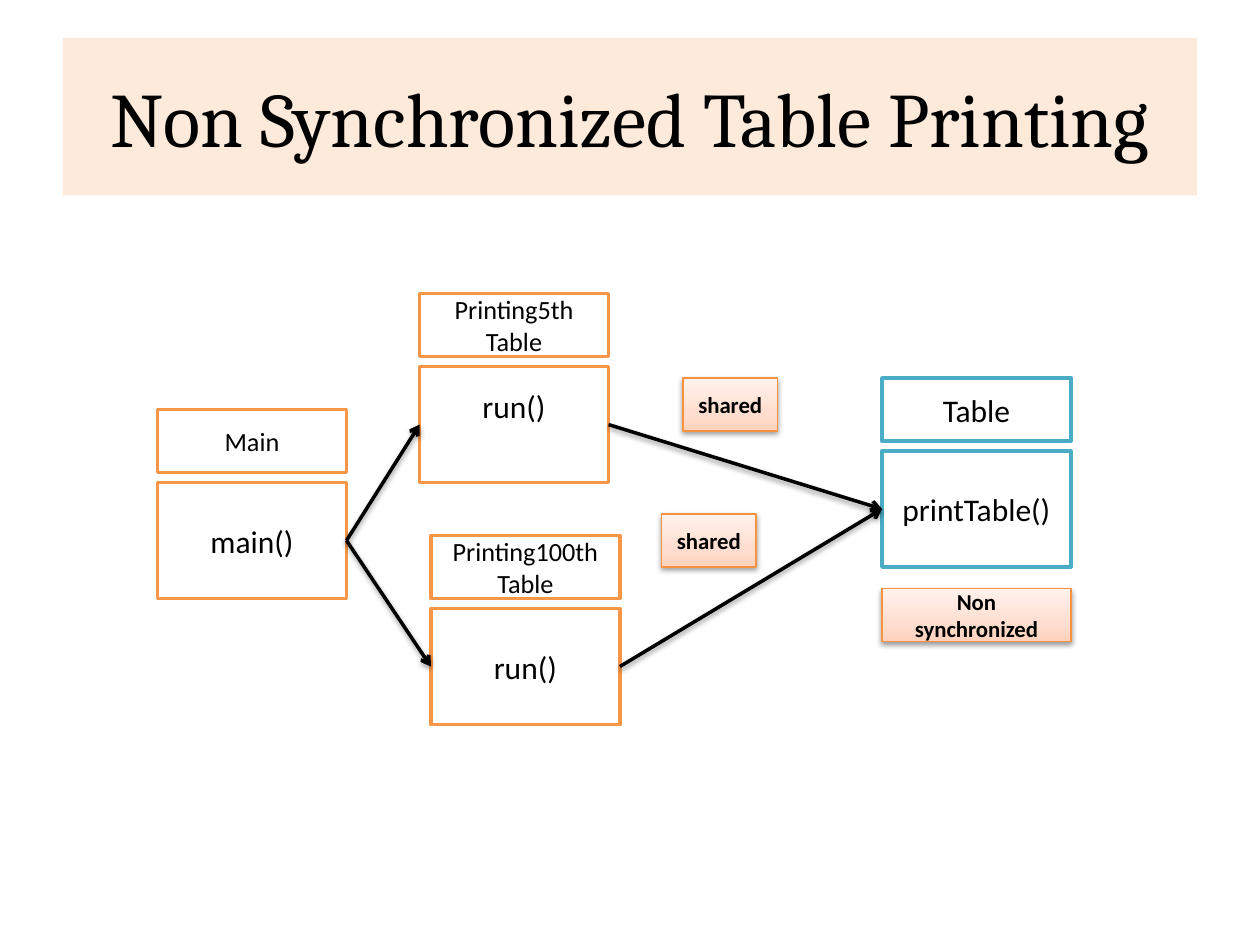
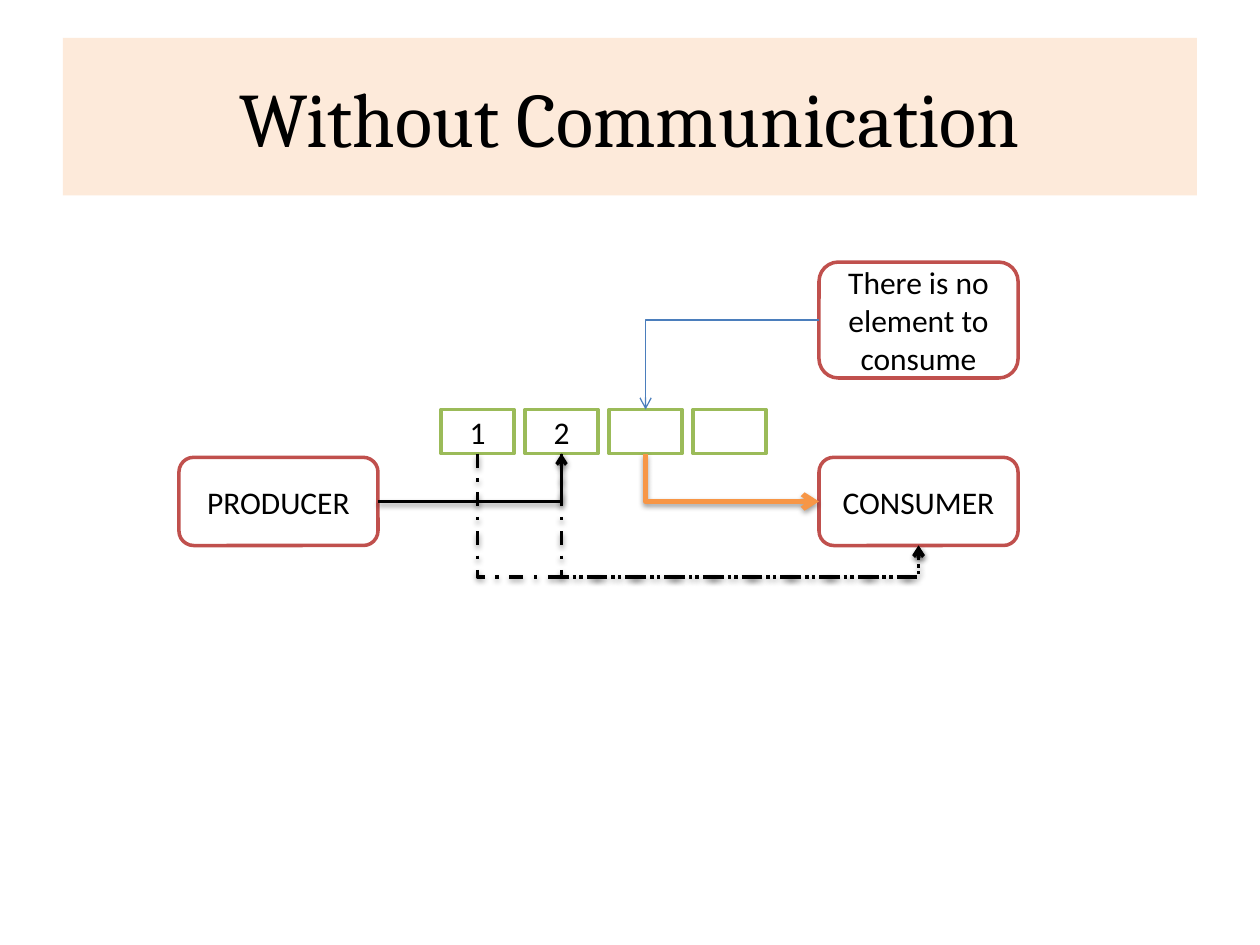
from copy import deepcopy

from lxml import etree
from pptx import Presentation
from pptx.dml.color import RGBColor
from pptx.enum.dml import MSO_LINE
from pptx.enum.shapes import MSO_CONNECTOR, MSO_SHAPE
from pptx.enum.text import MSO_ANCHOR, PP_ALIGN
from pptx.oxml.ns import qn
from pptx.util import Inches, Pt

RECT, ROUND = MSO_SHAPE.RECTANGLE, MSO_SHAPE.ROUNDED_RECTANGLE
LINE, ELBOW = MSO_CONNECTOR.STRAIGHT, MSO_CONNECTOR.ELBOW
CENTER, MIDDLE = PP_ALIGN.CENTER, MSO_ANCHOR.MIDDLE
DASHDOT = MSO_LINE.DASH_DOT
TOP, LEFT, BOTTOM, RIGHT = range(4)

BLACK = RGBColor(0x00, 0x00, 0x00)
WHITE = RGBColor(0xFF, 0xFF, 0xFF)
PEACH = RGBColor(0xFD, 0xEA, 0xDA)
ORANGE = RGBColor(0xF7, 0x96, 0x46)
AMBER = RGBColor(0xF6, 0x92, 0x40)
TEAL = RGBColor(0x4B, 0xAC, 0xC6)
RED = RGBColor(0xC0, 0x50, 0x4D)
GREEN = RGBColor(0x9B, 0xBB, 0x59)
BLUE = RGBColor(0x4B, 0x7E, 0xBC)
GLOW = [
    (0, RGBColor(0xFF, 0xD2, 0xBD)),
    (0.35, RGBColor(0xFF, 0xDE, 0xD0)),
    (1, RGBColor(0xFF, 0xF2, 0xED)),
]


def side(box, spot):
    """Middle of one side of a box."""
    mid_x, mid_y = box.left + box.width // 2, box.top + box.height // 2
    return {
        TOP: (mid_x, box.top),
        LEFT: (box.left, mid_y),
        BOTTOM: (mid_x, box.top + box.height),
        RIGHT: (box.left + box.width, mid_y),
    }[spot]


class Deck:
    def __init__(self):
        self.prs = Presentation()
        self.prs.slide_width, self.prs.slide_height = Inches(10), Inches(7.5)
        self.slide = None

    def page(self, title):
        self.slide = self.prs.slides.add_slide(self.prs.slide_layouts[6])
        self.box(0.5, 0.3, 9, 1.25, title, None, 44, fill=PEACH, font="Cambria")

    def box(self, x, y, w, h, text, color, size=18, kind=RECT, fill=WHITE,
            font="Calibri", bold=False, width=2):
        box = self.slide.shapes.add_shape(
            kind, Inches(x), Inches(y), Inches(w), Inches(h))
        box.shadow.inherit = False
        box.fill.solid()
        box.fill.fore_color.rgb = fill
        if color is None:
            box.line.fill.background()
        else:
            box.line.color.rgb = color
            box.line.width = Pt(width)
        if text:
            frame = box.text_frame
            frame.word_wrap = True
            frame.vertical_anchor = MIDDLE
            para = frame.paragraphs[0]
            para.alignment = CENTER
            run = para.add_run()
            run.text = text
            run.font.name, run.font.size = font, Pt(size)
            run.font.bold = bold
            run.font.color.rgb = BLACK
        return box

    def pair(self, x, y, name, call, color, size=15):
        """A class name above its method; returns the method box."""
        self.box(x, y, 1.5, 0.5, name, color, size)
        return self.box(x, y + 0.58, 1.5, 0.92, call, color)

    def tag(self, x, y, w, text):
        """A small label with a gradient and a shadow."""
        tag = self.box(x, y, w, 0.42, text, AMBER, 13, bold=True, width=0.75)
        tag.fill.gradient()
        tag.fill.gradient_angle = 90
        stops = tag._element.spPr.find(".//" + qn("a:gsLst"))
        stops.append(deepcopy(stops[0]))
        for stop, (spot, color) in zip(tag.fill.gradient_stops, GLOW):
            stop.position = spot
            stop.color.rgb = color
        self.shade(tag)

    def shade(self, item):
        props = item._element.spPr
        for old in props.findall(qn("a:effectLst")):
            props.remove(old)
        list_ = etree.SubElement(props, qn("a:effectLst"))
        shadow = etree.SubElement(
            list_, qn("a:outerShdw"), blurRad="40000", dist="20000",
            dir="5400000", rotWithShape="0")
        color = etree.SubElement(shadow, qn("a:srgbClr"), val=str(BLACK))
        etree.SubElement(color, qn("a:alpha"), val="38000")

    def style(self, link, color, width, dash=None, shadow=True):
        """Line, arrowhead and shadow of a connector."""
        link.line.color.rgb = color
        link.line.width = Pt(width)
        if dash:
            link.line.dash_style = dash
        props = link._element.spPr
        etree.SubElement(props.find(qn("a:ln")), qn("a:tailEnd"), type="arrow")
        if shadow:
            self.shade(link)
        else:
            etree.SubElement(props, qn("a:effectLst"))

    def arrow(self, start, end):
        link = self.slide.shapes.add_connector(
            LINE, *side(start, RIGHT), *side(end, LEFT))
        link.begin_connect(start, RIGHT)
        link.end_connect(end, LEFT)
        self.style(link, BLACK, 2)

    def bend(self, start, end, turn, flip, color=BLACK, width=2, adj=None,
             **look):
        """An elbow arrow between two points; turn is in degrees."""
        (x1, y1), (x2, y2) = start, end
        w, h = abs(x2 - x1), abs(y2 - y1)
        if turn % 180:
            w, h = h, w
        x, y = (x1 + x2 - w) // 2, (y1 + y2 - h) // 2
        link = self.slide.shapes.add_connector(ELBOW, x, y, x + w, y + h)
        props = link._element.spPr
        frame = props.find(qn("a:xfrm"))
        frame.set("rot", str(turn * 60000))
        frame.set(flip, "1")
        shape = props.find(qn("a:prstGeom"))
        if adj is None:
            shape.set("prst", "bentConnector2")
        else:
            etree.SubElement(shape.find(qn("a:avLst")), qn("a:gd"),
                             name="adj1", fmla=f"val {adj}")
        self.style(link, color, width, **look)


def tables(deck):
    deck.page("Non Synchronized Table Printing")

    # Classes and their methods
    table = deck.pair(7, 3, "Table", "printTable()", TEAL, 18)
    fifth = deck.pair(3.33, 2.33, "Printing5th Table", "run()", ORANGE)
    fifth.text_frame.margin_bottom = Inches(0.35)
    cent = deck.pair(3.42, 4.25, "Printing100th Table", "run()", ORANGE)
    main_box = deck.pair(1.25, 3.25, "Main", "main()", ORANGE)

    # Calls
    for run in (fifth, cent):
        deck.arrow(run, table)
        deck.arrow(main_box, run)

    # Labels
    deck.tag(5.42, 3, 0.75, "shared")
    deck.tag(5.25, 4.08, 0.75, "shared")
    deck.tag(7, 4.67, 1.5, "Non synchronized")


def queue(deck):
    deck.page("Without Communication")

    # Both ends and the buffer between them
    maker = deck.box(1.42, 3.63, 1.58, 0.7, "PRODUCER", RED, kind=ROUND)
    user = deck.box(6.5, 3.63, 1.58, 0.7, "CONSUMER", RED, kind=ROUND)
    cells = [deck.box(3.5 + i * 2 / 3, 3.25, 0.58, 0.35, text, GREEN)
             for i, text in enumerate(["1", "2", "", ""])]
    note = deck.box(6.5, 2.08, 1.58, 0.92, "There is no element to consume",
                    RED, kind=ROUND)

    # Flow of elements
    deck.bend(side(maker, RIGHT), side(cells[1], BOTTOM), 0, "flipV")
    deck.bend(side(cells[2], BOTTOM), side(user, LEFT), 270, "flipH",
              ORANGE, 3)
    for cell in cells[:2]:
        deck.bend(side(cell, BOTTOM), side(user, BOTTOM), 270, "flipH",
                  adj=134100, dash=DASHDOT)
    deck.bend(side(note, LEFT), side(cells[2], TOP), 180, "flipV",
              BLUE, 0.75, shadow=False)


def main():
    deck = Deck()
    tables(deck)
    queue(deck)
    deck.prs.save("out.pptx")


if __name__ == "__main__":
    main()
